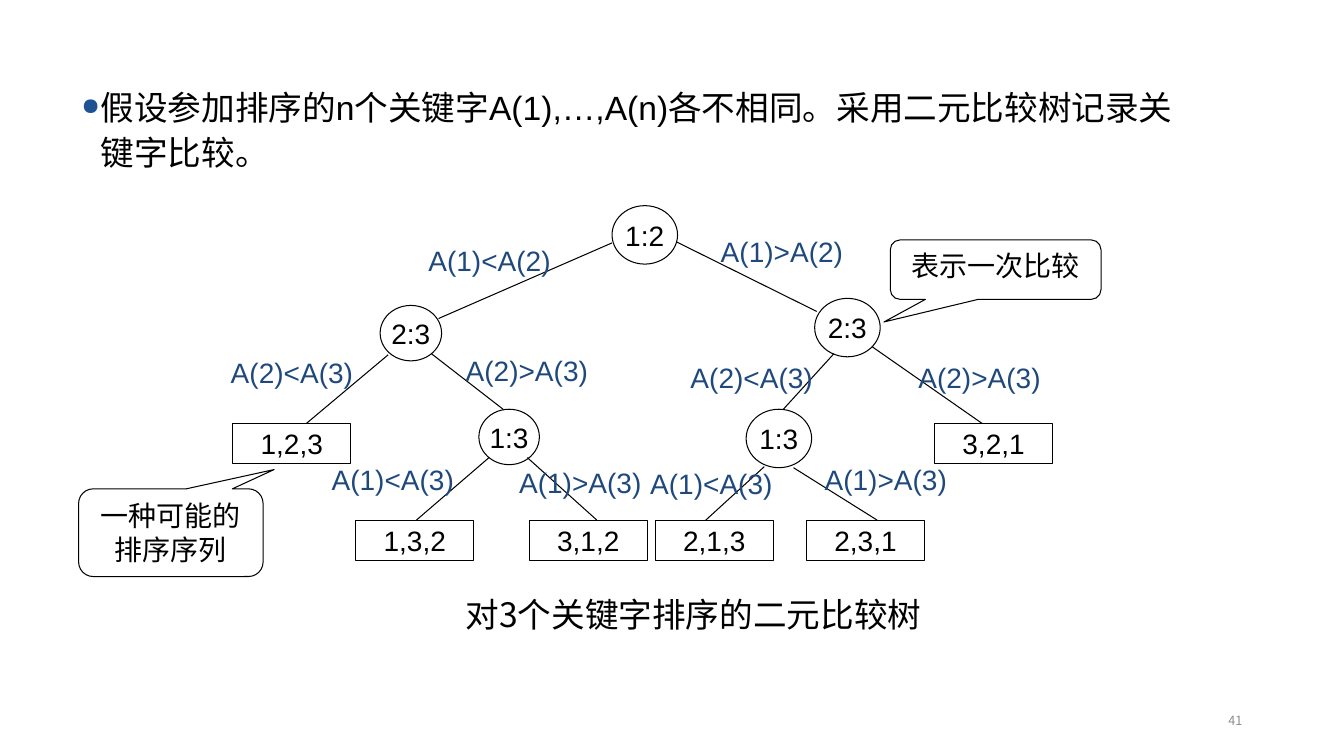
from lxml.etree import SubElement
from pptx import Presentation
from pptx.dml.color import RGBColor
from pptx.enum.shapes import MSO_CONNECTOR, MSO_SHAPE
from pptx.enum.text import MSO_ANCHOR, PP_ALIGN
from pptx.oxml.ns import qn
from pptx.util import Inches, Pt

BLACK = RGBColor(0x00, 0x00, 0x00)
WHITE = RGBColor(0xFF, 0xFF, 0xFF)
LABEL_BLUE = RGBColor(0x1F, 0x49, 0x7D)
PAGE_GRAY = RGBColor(0x8C, 0x8C, 0x8C)
BULLET_BLUE = "1E5293"
LATIN_FONT = "Arial"
CHINESE_FONT = "Noto Sans CJK SC"
LEAF_SIZE = (1.17, 0.4)
LABEL_SIZE = (1.42, 0.44)

COMPARISONS = [
    ("1:2", 4.07, 0.04, 0.65, 0.58),
    ("1:3", 5.4, 2.06, 0.65, 0.58),
    ("1:3", 2.75, 2.06, 0.6, 0.55),
    ("2:3", 6.08, 0.96, 0.65, 0.58),
    ("2:3", 1.77, 1.03, 0.61, 0.55),
]
LEAVES = [
    ("1,2,3", 0.31, 2.2),
    ("1,3,2", 1.53, 3.16),
    ("3,1,2", 3.25, 3.16),
    ("2,1,3", 4.5, 3.16),
    ("2,3,1", 6, 3.16),
    ("3,2,1", 7.27, 2.2),
]
BRANCHES = [
    (4.07, 0.41, 2.35, 1.16),
    (1.85, 1.52, 1.04, 2.2),
    (2.28, 1.51, 2.99, 2.06),
    (2.85, 2.54, 2.13, 3.16),
    (3.23, 2.54, 3.92, 3.16),
    (4.71, 0.4, 6.1, 1.09),
    (6.27, 1.51, 5.77, 2.06),
    (6.65, 1.44, 7.74, 2.2),
    (5.58, 2.63, 5, 3.16),
    (5.87, 2.64, 6.7, 3.16),
]
BRANCH_LABELS = [
    ("A(1)<A(2)", 2.15, 0.37),
    ("A(1)>A(2)", 5.05, 0.28),
    ("A(2)<A(3)", 0.19, 1.48),
    ("A(2)>A(3)", 2.52, 1.46),
    ("A(1)<A(3)", 1.19, 2.54),
    ("A(1)>A(3)", 3.05, 2.57),
    ("A(2)<A(3)", 4.75, 1.53),
    ("A(2)>A(3)", 7.01, 1.53),
    ("A(1)<A(3)", 4.35, 2.58),
    ("A(1)>A(3)", 6.08, 2.54),
]


def write_text(shape, text, size, font=LATIN_FONT, color=BLACK, align=PP_ALIGN.LEFT,
               anchor=MSO_ANCHOR.TOP, wrap=True, spacing=None):
    """Write one styled run into the shape and return its paragraph."""
    frame = shape.text_frame
    frame.word_wrap = wrap
    frame.vertical_anchor = anchor
    paragraph = frame.paragraphs[0]
    paragraph.alignment = align
    if spacing:
        paragraph.line_spacing = Pt(spacing)
    run = paragraph.add_run()
    run.text = text
    run.font.name = font
    run.font.size = Pt(size)
    run.font.color.rgb = color
    SubElement(run.font._element, qn("a:ea"), typeface=CHINESE_FONT)
    return paragraph


def add_text_box(slide, left, top, width, height, *text, **style):
    """Add a text box and return its paragraph."""
    box = slide.shapes.add_textbox(Inches(left), Inches(top), Inches(width), Inches(height))
    return write_text(box, *text, **style)


def add_outline(slide, kind, left, top, width, height):
    """Add an unfilled shape with a thin black line."""
    shape = slide.shapes.add_shape(kind, Inches(left), Inches(top), Inches(width), Inches(height))
    shape.shadow.inherit = False
    shape.fill.background()
    shape.line.color.rgb = BLACK
    shape.line.width = Pt(0.75)
    return shape


def add_branch(slide, left, top, right, bottom):
    """Join two nodes with a straight line."""
    line = slide.shapes.add_connector(
        MSO_CONNECTOR.STRAIGHT, Inches(left), Inches(top), Inches(right), Inches(bottom))
    line.line.color.rgb = BLACK
    line.line.width = Pt(0.75)
    SubElement(line._element.spPr, qn("a:effectLst"))


def add_statement(slide, left, top, width, height):
    """Add the bulleted statement at the top."""
    paragraph = add_text_box(
        slide, left, top, width, height,
        "假设参加排序的n个关键字A(1),…,A(n)各不相同。采用二元比较树记录关键字比较。",
        24, spacing=31.5)
    properties = paragraph._p.get_or_add_pPr()
    properties.set("marL", str(Inches(0.19)))
    properties.set("indent", str(-Inches(0.19)))
    bullet_color = SubElement(properties, qn("a:buClr"))
    SubElement(bullet_color, qn("a:srgbClr"), val=BULLET_BLUE)
    SubElement(properties, qn("a:buSzPct"), val="70000")
    SubElement(properties, qn("a:buChar"), char="●")


def add_tree(slide, left, top):
    """Draw the comparison tree from its top left corner."""
    nodes = [(MSO_SHAPE.OVAL, *node) for node in COMPARISONS]
    nodes += [(MSO_SHAPE.RECTANGLE, *leaf, *LEAF_SIZE) for leaf in LEAVES]
    for kind, text, x, y, width, height in nodes:
        node = add_outline(slide, kind, left + x, top + y, width, height)
        write_text(node, text, 20, align=PP_ALIGN.CENTER, anchor=MSO_ANCHOR.MIDDLE, wrap=False)
    for x1, y1, x2, y2 in BRANCHES:
        add_branch(slide, left + x1, top + y1, left + x2, top + y2)
    for text, x, y in BRANCH_LABELS:
        add_text_box(slide, left + x, top + y, *LABEL_SIZE, text, 20,
                     color=LABEL_BLUE, wrap=False)


def add_callout(slide, left, top, width, height, text, tip):
    """Add a rounded callout whose tip is given in shares of its size."""
    callout = add_outline(slide, MSO_SHAPE.ROUNDED_RECTANGULAR_CALLOUT, left, top, width, height)
    callout.adjustments[0], callout.adjustments[1] = tip
    write_text(callout, text, 20, font=CHINESE_FONT, align=PP_ALIGN.CENTER, spacing=24.3)


def add_page_number(slide, left, top, width, height):
    """Add the page number on its white strip."""
    strip = slide.shapes.add_textbox(Inches(left), Inches(top), Inches(width), Inches(height))
    strip.fill.solid()
    strip.fill.fore_color.rgb = WHITE
    write_text(strip, "41", 9, font=CHINESE_FONT, color=PAGE_GRAY,
               align=PP_ALIGN.RIGHT, anchor=MSO_ANCHOR.MIDDLE)


def main():
    """Build the slide and save it."""
    presentation = Presentation()
    presentation.slide_width = Inches(13.33)
    presentation.slide_height = Inches(7.5)
    slide = presentation.slides.add_slide(presentation.slide_layouts[6])
    add_statement(slide, 0.71, 0.78, 11.09, 1.1)
    add_tree(slide, 2, 2)
    add_callout(slide, 8.83, 2.38, 2.09, 0.59, "表示一次比较", (-0.53, 0.88))
    add_callout(slide, 0.78, 4.85, 1.83, 0.87, "一种可能的排序序列", (0.56, -0.72))
    add_text_box(slide, 4.52, 5.84, 4.75, 0.5, "对3个关键字排序的二元比较树", 24,
                 font=CHINESE_FONT, spacing=29.3)
    add_page_number(slide, 9.42, 6.95, 3, 0.4)
    presentation.save("out.pptx")


if __name__ == "__main__":
    main()
